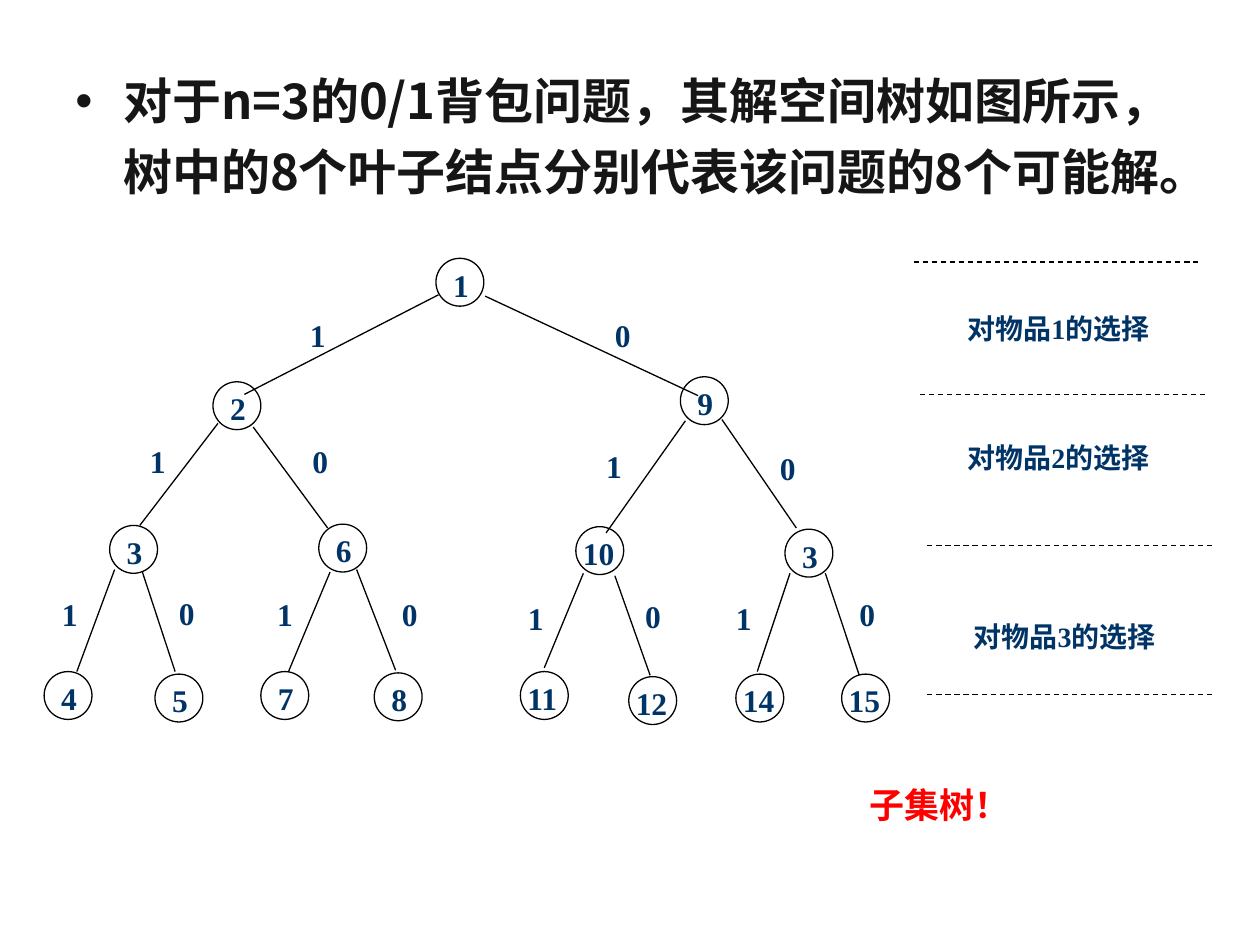
from dataclasses import dataclass

from lxml import etree
from pptx import Presentation
from pptx.dml.color import RGBColor
from pptx.enum.dml import MSO_LINE
from pptx.enum.shapes import MSO_CONNECTOR, MSO_SHAPE
from pptx.enum.text import MSO_ANCHOR, PP_ALIGN
from pptx.oxml.ns import qn
from pptx.util import Inches, Pt

STRAIGHT = MSO_CONNECTOR.STRAIGHT
OVAL = MSO_SHAPE.OVAL
DASH = MSO_LINE.DASH
TOP = MSO_ANCHOR.TOP
JUSTIFY = PP_ALIGN.JUSTIFY


@dataclass(frozen=True)
class Theme:
    ink: str = "161616"
    navy: str = "003366"
    red: str = "FF0000"
    line: str = "000000"
    cjk: str = "Noto Sans CJK SC"
    serif: str = "Times New Roman"
    sans: str = "Arial"
    body_pt: int = 28
    note_pt: int = 20
    node_pt: int = 18
    level_pt: int = 16
    line_pt: float = 0.75


T = Theme()
NODE_SIZE = 0.38
PAD = 0.08

# Tree nodes: number, left, top
NODES = [
    ("1", 3.46, 2.05),
    ("2", 1.69, 3.03), ("9", 5.40, 2.99),
    ("3", 0.87, 4.17), ("6", 2.53, 4.16), ("10", 4.57, 4.18), ("3", 6.23, 4.20),
    ("4", 0.35, 5.33), ("5", 1.23, 5.35), ("7", 2.07, 5.33), ("8", 2.97, 5.34),
    ("11", 4.13, 5.33), ("12", 4.99, 5.37), ("14", 5.84, 5.35), ("15", 6.68, 5.35),
]

# Branches, taking 1 and 0 in turn: start, end, left and top of the digit
BRANCHES = [
    ((3.48, 2.34), (1.94, 3.13), (2.46, 2.49)),
    ((3.85, 2.35), (5.54, 3.14), (4.88, 2.49)),
    ((1.73, 3.36), (1.11, 4.17), (1.19, 3.49)),
    ((2.01, 3.39), (2.60, 4.19), (2.48, 3.49)),
    ((5.44, 3.34), (4.81, 4.23), (4.81, 3.53)),
    ((5.73, 3.33), (6.32, 4.19), (6.19, 3.54)),
    ((0.91, 4.52), (0.61, 5.33), (0.49, 4.70)),
    ((1.13, 4.54), (1.39, 5.33), (1.42, 4.69)),
    ((2.62, 4.54), (2.29, 5.33), (2.20, 4.70)),
    ((2.83, 4.52), (3.14, 5.32), (3.19, 4.70)),
    ((4.63, 4.55), (4.32, 5.30), (4.19, 4.73)),
    ((4.88, 4.57), (5.16, 5.36), (5.12, 4.72)),
    ((6.27, 4.55), (6.01, 5.33), (5.84, 4.73)),
    ((6.55, 4.55), (6.82, 5.36), (6.82, 4.70)),
]

# Level dividers and the labels between them: left, top
DIVIDERS = [(7.25, 2.08), (7.30, 3.13), (7.36, 4.33), (7.36, 5.51)]
DIVIDER_WIDTH = 2.26
LEVELS = [(7.68, 2.52), (7.68, 3.55), (7.73, 4.97)]


def rgb(value):
    return RGBColor.from_string(value)


def write(s, text, size, color, font, insets=(0.1, 0.05, 0.1, 0.05),
          align=None, spacing=None, before=None, wrap=True):
    """Put one bold paragraph into a shape and return it."""
    tf = s.text_frame
    tf.word_wrap = wrap
    tf.vertical_anchor = TOP
    (tf.margin_left, tf.margin_top,
     tf.margin_right, tf.margin_bottom) = map(Inches, insets)
    p = tf.paragraphs[0]
    p.alignment = align
    p.line_spacing = spacing
    p.space_before = before
    r = p.add_run()
    r.text = text
    r.font.name = font
    r.font.size = Pt(size)
    r.font.bold = True
    r.font.color.rgb = rgb(color)
    # East Asian characters share one typeface
    etree.SubElement(r.font._element, qn("a:ea"), typeface=T.cjk)
    return p


def add_text(slide, box, text, size, color, font, **fmt):
    s = slide.shapes.add_textbox(*map(Inches, box))
    return write(s, text, size, color, font, **fmt)


def add_bullet(p, indent):
    pPr = p._p.get_or_add_pPr()
    pPr.set("marL", str(Inches(indent)))
    pPr.set("indent", str(-Inches(indent)))
    etree.SubElement(pPr, qn("a:buFont"), typeface=T.sans)
    etree.SubElement(pPr, qn("a:buChar"), char="•")


def add_line(slide, start, end, dash=None):
    s = slide.shapes.add_connector(STRAIGHT, *map(Inches, start + end))
    s.line.color.rgb = rgb(T.line)
    s.line.width = Pt(T.line_pt)
    if dash is not None:
        s.line.dash_style = dash
    etree.SubElement(s._element.spPr, qn("a:effectLst"))


def add_node(slide, number, x, y):
    s = slide.shapes.add_shape(OVAL, *map(Inches, (x, y, NODE_SIZE, NODE_SIZE)))
    s.shadow.inherit = False
    s.fill.background()
    s.line.color.rgb = rgb(T.line)
    s.line.width = Pt(T.line_pt)
    left = PAD if len(number) == 1 else 0
    write(s, number, T.node_pt, T.navy, T.serif,
          insets=(left, PAD, 0, 0), align=JUSTIFY, spacing=0.72)


def add_levels(slide):
    for x, y in DIVIDERS:
        add_line(slide, (x, y), (x + DIVIDER_WIDTH, y), dash=DASH)
    for item, (x, y) in enumerate(LEVELS, start=1):
        add_text(slide, (x, y, 1.66, 0.25), f"对物品{item}的选择",
                 T.level_pt, T.navy, T.serif,
                 insets=(0, 0, 0, 0), align=JUSTIFY, spacing=0.8)


def add_tree(slide):
    for i, (start, end, (x, y)) in enumerate(BRANCHES):
        add_line(slide, start, end)
        add_text(slide, (x, y, 0.25, 0.27), "10"[i % 2],
                 T.node_pt, T.navy, T.serif,
                 insets=(0, PAD, 0, 0), align=JUSTIFY, spacing=0.8)
    for node in NODES:
        add_node(slide, *node)


def main():
    prs = Presentation()
    prs.slide_width, prs.slide_height = Inches(10), Inches(7.5)
    slide = prs.slides.add_slide(prs.slide_layouts[6])

    # Statement
    p = add_text(slide, (0.5, 0.42, 9.17, 1.5),
                 "对于n=3的0/1背包问题，其解空间树如图所示，"
                 "树中的8个叶子结点分别代表该问题的8个可能解。",
                 T.body_pt, T.ink, T.cjk, spacing=1.2, before=Pt(12))
    add_bullet(p, 0.38)

    # Solution space tree and its levels
    add_levels(slide)
    add_tree(slide)

    # Closing note
    add_text(slide, (6.8, 6.17, 1.33, 0.51), "子集树！",
             T.note_pt, T.red, T.sans)

    prs.save("out.pptx")


main()
